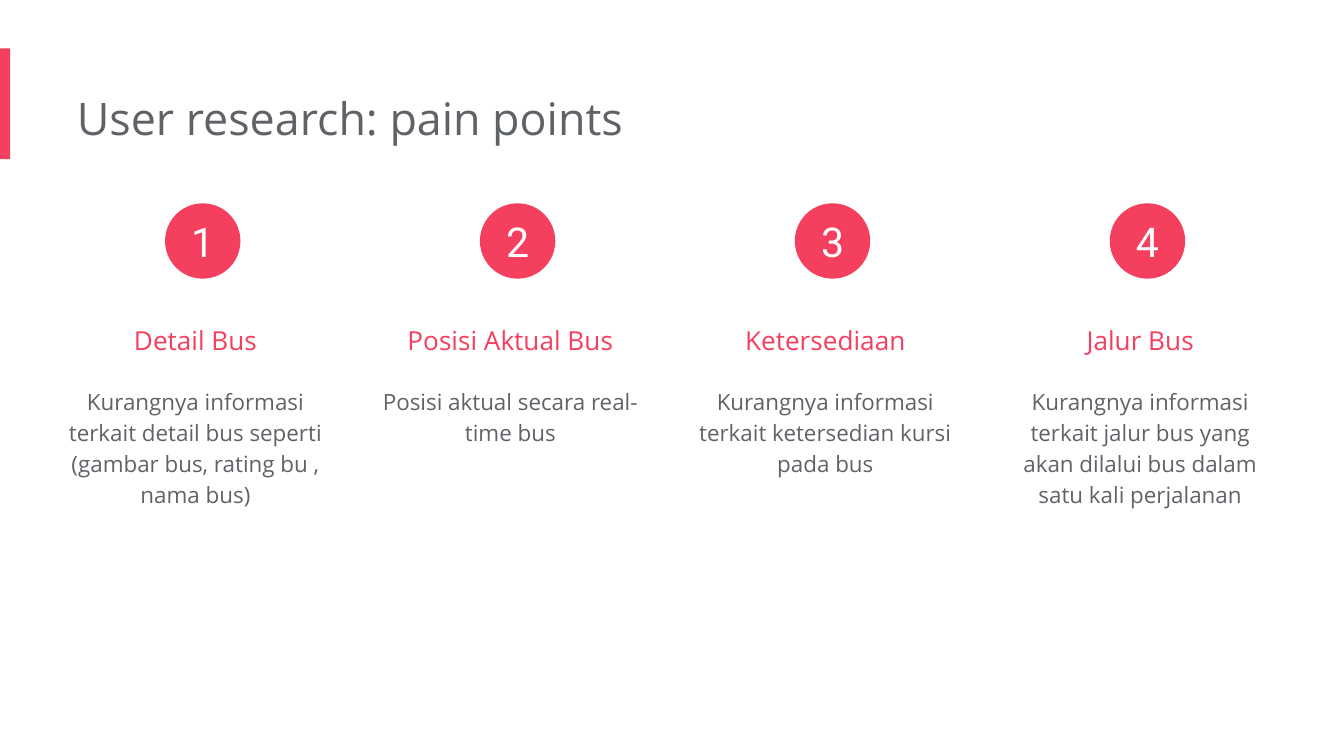
from pptx import Presentation
from pptx.dml.color import RGBColor
from pptx.enum import shapes, text
from pptx.util import Pt

PINK, GRAY, WHITE = "F43F5E", "5F6368", "FFFFFF"
TITLE = "User research: pain points"
PAIN_POINTS = [
    ("Detail Bus", "Kurangnya informasi terkait detail bus seperti (gambar bus, rating bu , nama bus)", 81.4),
    ("Posisi Aktual Bus", "Posisi aktual secara real-time bus", 48.2),
    ("Ketersediaan", "Kurangnya informasi terkait ketersedian kursi pada bus", 64.8),
    ("Jalur Bus", "Kurangnya informasi terkait jalur bus yang akan dilalui bus dalam satu kali perjalanan", 98),
]
COLUMN_LEFT, COLUMN_STEP, COLUMN_WIDTH = 34.5, 168.7, 147.6
CIRCLE_OFFSET, CIRCLE_SIZE = 53.9, 40.4


def color(value):
    return RGBColor.from_string(value)


def write(shape, content, size, fill, font="Open Sans", align=text.PP_ALIGN.CENTER,
          spacing=None, insets=(0, 7.2, 7.2, 7.2), anchor=text.MSO_ANCHOR.TOP,
          fit=text.MSO_AUTO_SIZE.SHAPE_TO_FIT_TEXT):
    frame = shape.text_frame
    frame.word_wrap = True
    frame.auto_size = fit
    frame.vertical_anchor = anchor
    frame.margin_left, frame.margin_top, frame.margin_right, frame.margin_bottom = map(Pt, insets)
    paragraph = frame.paragraphs[0]
    paragraph.alignment = align
    paragraph.line_spacing = spacing
    run = paragraph.add_run()
    run.text = content
    run.font.name = font
    run.font.size = Pt(size)
    run.font.color.rgb = color(fill)


def add_text(slide, box, content, **style):
    write(slide.shapes.add_textbox(*map(Pt, box)), content, **style)


def add_filled(slide, kind, box):
    shape = slide.shapes.add_shape(kind, *map(Pt, box))
    shape.shadow.inherit = False
    shape.fill.solid()
    shape.fill.fore_color.rgb = color(PINK)
    shape.line.fill.background()
    return shape


def main():
    presentation = Presentation()
    presentation.slide_width, presentation.slide_height = Pt(720), Pt(405)
    slide = presentation.slides.add_slide(presentation.slide_layouts[6])
    slide.background.fill.solid()
    slide.background.fill.fore_color.rgb = color(WHITE)

    add_filled(slide, shapes.MSO_SHAPE.RECTANGLE, (0, 26, 5.5, 59.3))
    add_text(slide, (41.2, 41.2, 484.6, 43.8), TITLE, size=24, fill=GRAY,
             align=text.PP_ALIGN.LEFT)

    for index, (heading, detail, height) in enumerate(PAIN_POINTS):
        left = COLUMN_LEFT + index * COLUMN_STEP
        add_text(slide, (left, 158.4, COLUMN_WIDTH, 40.3), heading,
                 size=14, fill=PINK, spacing=1.5)
        add_text(slide, (left, 198.7, COLUMN_WIDTH, height), detail,
                 size=12, fill=GRAY, spacing=1.15)
        circle = add_filled(slide, shapes.MSO_SHAPE.OVAL,
                            (left + CIRCLE_OFFSET, 108.9, CIRCLE_SIZE, CIRCLE_SIZE))
        write(circle, str(index + 1), size=22, fill=WHITE, font="Roboto",
              insets=(0, 0, 0, 0), anchor=text.MSO_ANCHOR.MIDDLE,
              fit=text.MSO_AUTO_SIZE.NONE)

    presentation.save("out.pptx")


if __name__ == "__main__":
    main()
